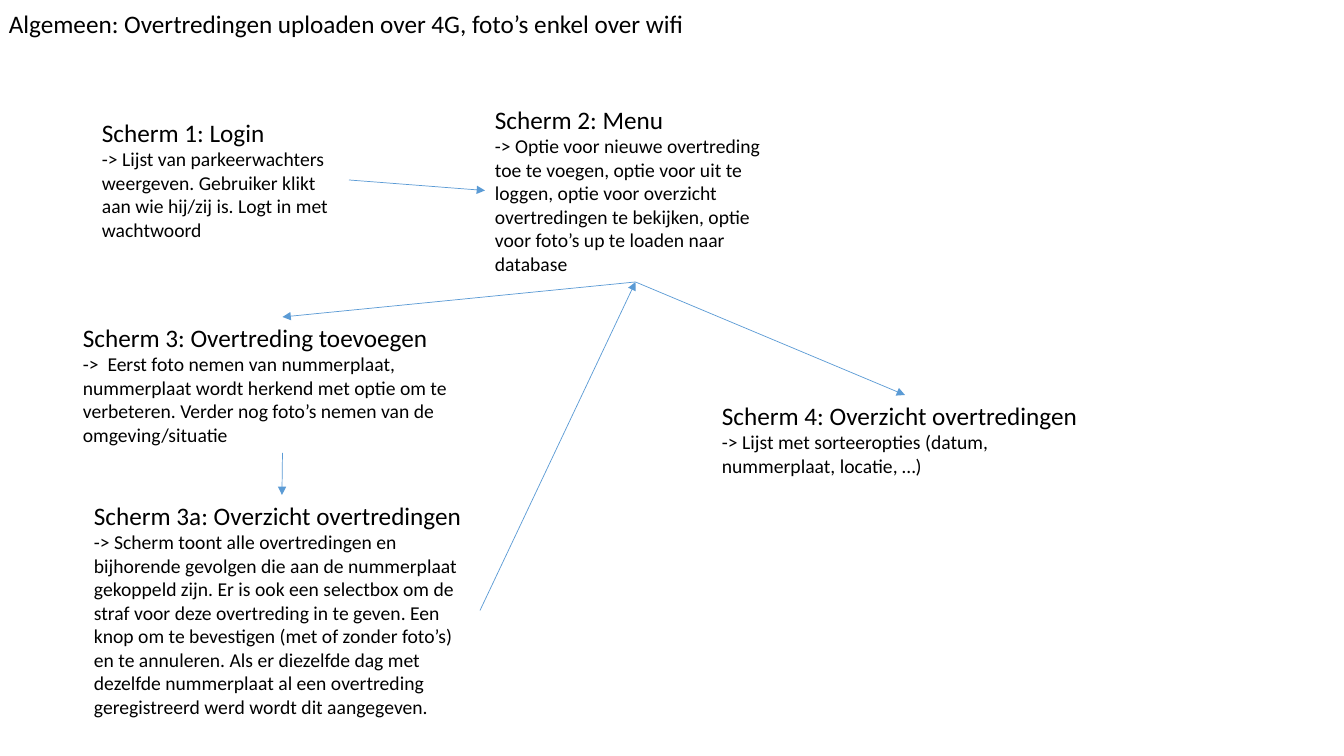
from pptx import Presentation
from pptx.dml.color import RGBColor as Rgb
from pptx.enum.shapes import MSO_CONNECTOR as Conn
from pptx.enum.text import MSO_AUTO_SIZE as Auto
from pptx.oxml.ns import qn
from pptx.util import Pt
from lxml.etree import SubElement as Sub

SCALE = 914400 / 100.8
COLORS = {"text": "000000", "arrow": "5B9BD5"}
TOP, LEFT, BOTTOM, RIGHT = range(4)  # connection sites of a box

TITLE = "Algemeen: Overtredingen uploaden over 4G, foto’s enkel over wifi"

# name: (left, top, width, height), heading, body
SCREENS = {
    "login": (
        (92, 112, 257, 136), "Scherm 1: Login",
        "-> Lijst van parkeerwachters weergeven. Gebruiker klikt aan wie "
        "hij/zij is. Logt in met wachtwoord"),
    "menu": (
        (485, 99, 301, 183), "Scherm 2: Menu",
        "-> Optie voor nieuwe overtreding toe te voegen, optie voor uit te "
        "loggen, optie voor overzicht overtredingen te bekijken, optie voor "
        "foto’s up te loaden naar database"),
    "add": (
        (73, 317, 419, 136), "Scherm 3: Overtreding toevoegen",
        "->  Eerst foto nemen van nummerplaat, nummerplaat wordt herkend met "
        "optie om te verbeteren. Verder nog foto’s nemen van de "
        "omgeving/situatie"),
    "fine": (
        (84, 495, 396, 231), "Scherm 3a: Overzicht overtredingen",
        "-> Scherm toont alle overtredingen en bijhorende gevolgen die aan de "
        "nummerplaat gekoppeld zijn. Er is ook een selectbox om de straf voor "
        "deze overtreding in te geven. Een knop om te bevestigen (met of "
        "zonder foto’s) en te annuleren. Als er diezelfde dag met dezelfde "
        "nummerplaat al een overtreding geregistreerd werd wordt dit "
        "aangegeven."),
    "list": (
        (712, 395, 386, 89), "Scherm 4: Overzicht overtredingen",
        "-> Lijst met sorteeropties (datum, nummerplaat, locatie, …)"),
}

# from screen, site, to screen, site
FLOWS = [
    ("login", RIGHT, "menu", LEFT),
    ("menu", BOTTOM, "add", TOP),
    ("add", BOTTOM, "fine", TOP),
    ("fine", RIGHT, "menu", BOTTOM),
    ("menu", BOTTOM, "list", TOP),
]


def px(value):
    return round(value * SCALE)


def add_text(slide, place, lines, wrap=True):
    """Add a text box; lines holds (text, size) pairs."""
    box = slide.shapes.add_textbox(*map(px, place))
    frame = box.text_frame
    frame.word_wrap = wrap
    frame.auto_size = Auto.SHAPE_TO_FIT_TEXT
    for i, (text, size) in enumerate(lines):
        para = frame.add_paragraph() if i else frame.paragraphs[0]
        run = para.add_run()
        run.text = text
        for key, value in {"name": "Calibri", "size": Pt(size)}.items():
            setattr(run.font, key, value)
        run.font.color.rgb = Rgb.from_string(COLORS["text"])
    return box


def add_arrow(slide, start, exit_site, end, entry_site):
    """Join two boxes with a thin arrow."""
    arrow = slide.shapes.add_connector(Conn.STRAIGHT, 0, 0, 0, 0)
    arrow.begin_connect(start, exit_site)
    arrow.end_connect(end, entry_site)
    arrow.line.width = Pt(0.5)
    arrow.line.color.rgb = Rgb.from_string(COLORS["arrow"])
    Sub(arrow.line._get_or_add_ln(), qn("a:tailEnd"), type="triangle")
    Sub(arrow._element.spPr, qn("a:effectLst"))


def main():
    deck = Presentation()
    deck.slide_width, deck.slide_height = px(1344), px(756)
    slide = deck.slides.add_slide(deck.slide_layouts[6])

    # Screens
    boxes = {}
    for name, (place, head, body) in SCREENS.items():
        boxes[name] = add_text(slide, place, [(head, 18), (body, 14)])

    # General remark
    add_text(slide, (-1, 3, 698, 40), [(TITLE, 18)], wrap=False)

    # Flow between the screens
    for start, exit_site, end, entry_site in FLOWS:
        add_arrow(slide, boxes[start], exit_site, boxes[end], entry_site)

    deck.save("out.pptx")


main()
